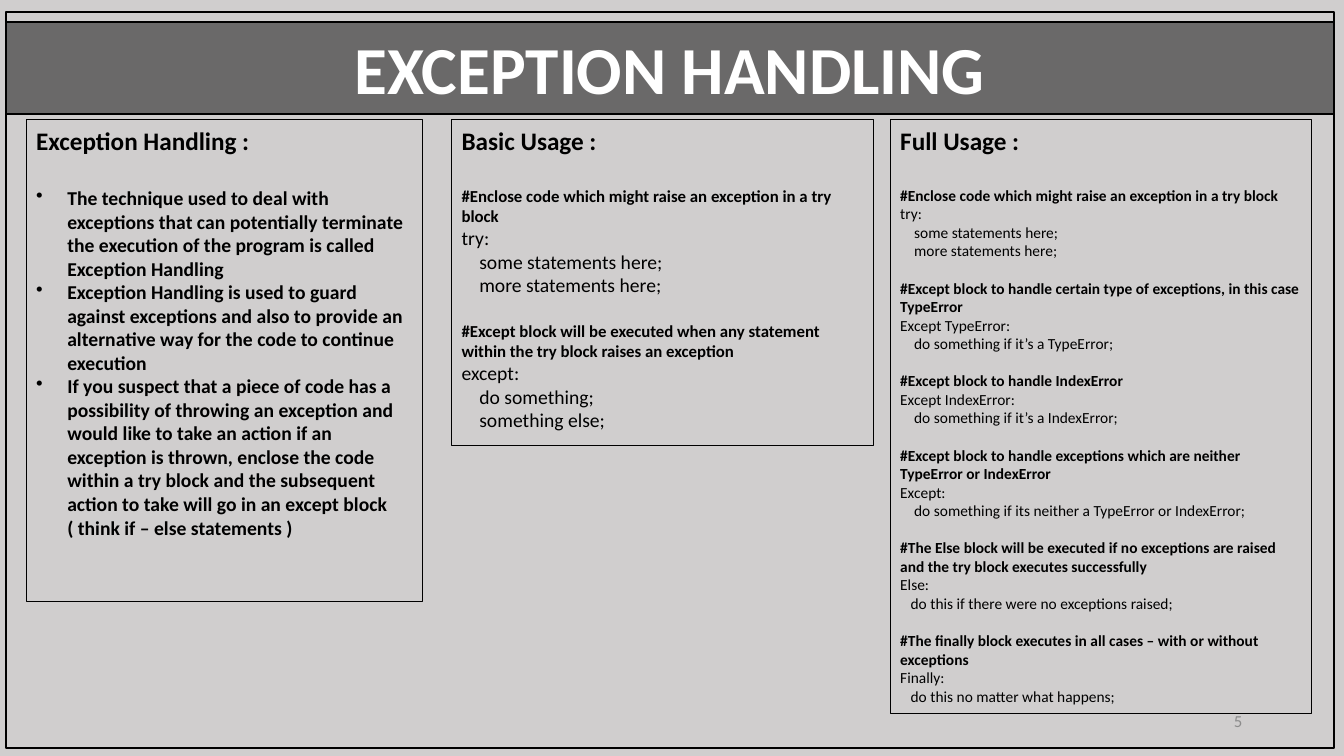
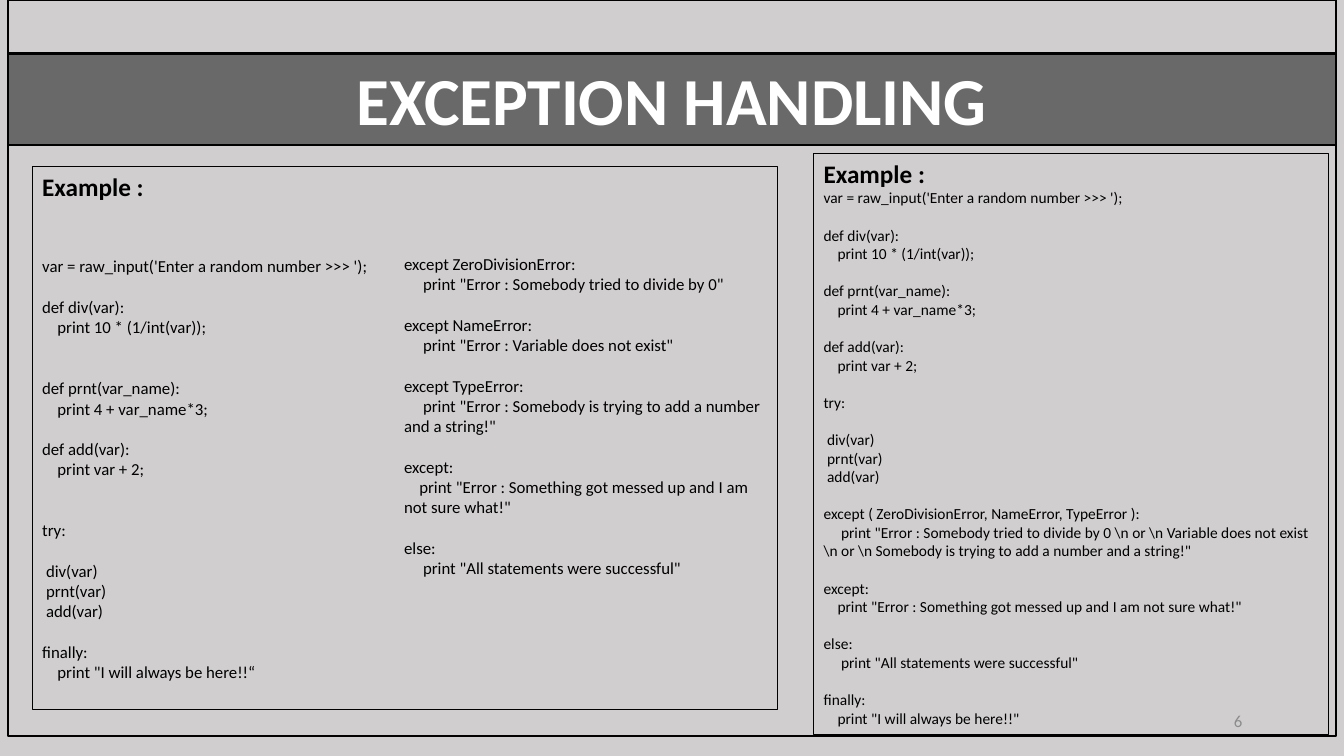
import dataclasses
import typing

import pptx
import pptx.dml.color
import pptx.enum.shapes
import pptx.enum.text
import pptx.presentation
import pptx.shapes.autoshape
import pptx.slide
import pptx.text.text
import pptx.util
import lxml.etree

Inches = pptx.util.Inches
Points = pptx.util.Pt
Align = pptx.enum.text.PP_ALIGN
Anchor = pptx.enum.text.MSO_ANCHOR

COLORS = {"page": "D0CECE", "ink": "000000", "title": "FFFFFF", "number": "8C8C8C"}
FONT = "Calibri"
LINE_HEIGHT = 1.22  # of the font size
SPACE_WIDTH = 0.226  # of the font size
FRAME_WIDTH, FRAME_HEIGHT, BAND_HEIGHT = 13.17, 7.3, 0.91
BULLET = "•"
BULLET_INDENT = 0.31


@dataclasses.dataclass(frozen=True)
class Panel:
    left: float
    top: float
    width: float
    height: float
    body: str
    size: float
    heading: str = ""
    heading_gap: float = 0
    comment_size: typing.Optional[float] = None
    outlined: bool = True


@dataclasses.dataclass(frozen=True)
class Page:
    number: int
    frame_left: float
    frame_top: float
    band_top: float
    panels: tuple[Panel, ...]


# Texts: a blank line is a gap, leading spaces are an indent, "#" lines are bold
DEFINITION = """
• The technique used to deal with exceptions that can potentially terminate the execution of the program is called Exception Handling
• Exception Handling is used to guard against exceptions and also to provide an alternative way for the code to continue execution
• If you suspect that a piece of code has a possibility of throwing an exception and would like to take an action if an exception is thrown, enclose the code within a try block and the subsequent action to take will go in an except block ( think if – else statements )
"""

TRY_BLOCK = """
#Enclose code which might raise an exception in a try block
try:
    some statements here;
    more statements here;
"""

BASIC_USAGE = TRY_BLOCK + """
#Except block will be executed when any statement within the try block raises an exception
except:
    do something;
    something else;
"""

FULL_USAGE = TRY_BLOCK + """
#Except block to handle certain type of exceptions, in this case TypeError
Except TypeError:
    do something if it’s a TypeError;

#Except block to handle IndexError
Except IndexError:
    do something if it’s a IndexError;

#Except block to handle exceptions which are neither TypeError or IndexError
Except:
    do something if its neither a TypeError or IndexError;

#The Else block will be executed if no exceptions are raised and the try block executes successfully
Else:
   do this if there were no exceptions raised;

#The finally block executes in all cases – with or without exceptions
Finally:
   do this no matter what happens;
"""

PROMPT = "var = raw_input('Enter a random number >>> ');\n"
DIVIDE = "def div(var):\n    print 10 * (1/int(var));\n"
PRINT = "def prnt(var_name):\n    print 4 + var_name*3;\n"
ADD = "def add(var):\n    print var + 2;\n"
CALLS = "try:\n\n div(var)\n prnt(var)\n add(var)\n"
FINALLY = 'finally:\n    print "I will always be here!!'
ANY_ERROR = 'except:\n    print "Error : Something got messed up and I am not sure what!"\n'
ELSE = 'else:\n     print "All statements were successful"\n'

GROUPED_ERRORS = r"""except ( ZeroDivisionError, NameError, TypeError ):
     print "Error : Somebody tried to divide by 0 \n or \n Variable does not exist \n or \n Somebody is trying to add a number and a string!"
"""

SEPARATE_ERRORS = """except ZeroDivisionError:
     print "Error : Somebody tried to divide by 0"

except NameError:
     print "Error : Variable does not exist"

except TypeError:
     print "Error : Somebody is trying to add a number and a string!"
"""

LEFT_CODE = "\n".join([PROMPT, DIVIDE + "\n", PRINT, ADD + "\n", CALLS, FINALLY + "“"])
RIGHT_CODE = "\n".join([SEPARATE_ERRORS, ANY_ERROR, ELSE])
SHORT_CODE = "\n".join([PROMPT, DIVIDE, PRINT, ADD, CALLS, GROUPED_ERRORS,
                        ANY_ERROR, ELSE, FINALLY + '"'])

PAGES = (
    Page(5, 0.06, 0.12, 0.22, (
        Panel(0.26, 1.19, 3.93, 4.78, DEFINITION, 14, "Exception Handling :", 22),
        Panel(4.48, 1.19, 4.18, 3.23, BASIC_USAGE, 14, "Basic Usage :", 22, 12),
        Panel(8.83, 1.19, 4.18, 5.89, FULL_USAGE, 11, "Full Usage :", 22),
    )),
    Page(6, 0.08, 0, 0.53, (
        Panel(8.07, 1.52, 5.11, 5.77, SHORT_CODE, 11, "Example :"),
        Panel(0.32, 1.65, 7.39, 5.39, LEFT_CODE, 12, "Example :", 39),
        Panel(3.91, 2.47, 3.8, 3.4, RIGHT_CODE, 12, outlined=False),
    )),
)


def rgb(name: str) -> pptx.dml.color.RGBColor:
    return pptx.dml.color.RGBColor.from_string(COLORS[name])


def add_text(frame: pptx.text.text.TextFrame, text: str, *, size: float,
             bold: bool = False, color: str = "ink", align: Align = Align.LEFT,
             gap: float = 0, margin: float = 0, indent: float = 0,
             bullet: str = "") -> None:
    """Append a paragraph; gap is in points, margin and indent in inches."""
    paragraph = frame.paragraphs[0]
    if paragraph.runs:
        paragraph = frame.add_paragraph()
    paragraph.alignment = align
    paragraph.space_before = Points(gap)
    run = paragraph.add_run()
    run.text = text
    run.font.name, run.font.size, run.font.bold = FONT, Points(size), bold
    run.font.color.rgb = rgb(color)
    properties = paragraph._p.get_or_add_pPr()
    properties.set("marL", str(Inches(margin)))
    properties.set("indent", str(Inches(indent)))
    if bullet:
        mark = lxml.etree.SubElement(properties, pptx.oxml.ns.qn("a:buChar"))
        mark.set("char", bullet)


def add_box(slide: pptx.slide.Slide, left: float, top: float, width: float,
            height: float, line_width: float) -> pptx.shapes.autoshape.Shape:
    """Add an unfilled, black-edged rectangle."""
    shape = slide.shapes.add_shape(pptx.enum.shapes.MSO_SHAPE.RECTANGLE, Inches(left),
                                   Inches(top), Inches(width), Inches(height))
    shape.shadow.inherit = False
    shape.fill.background()
    shape.line.color.rgb = rgb("ink")
    shape.line.width = Points(line_width)
    shape.text_frame.vertical_anchor = Anchor.TOP
    return shape


def add_text_box(slide: pptx.slide.Slide, left: float, top: float, width: float,
                 height: float) -> pptx.shapes.autoshape.Shape:
    shape = slide.shapes.add_textbox(Inches(left), Inches(top), Inches(width), Inches(height))
    shape.text_frame.word_wrap = True
    return shape


def add_body(frame: pptx.text.text.TextFrame, panel: Panel) -> None:
    """Turn the lines of a panel's body into formatted paragraphs."""
    gap = panel.heading_gap
    for line in panel.body.strip("\n").split("\n"):
        text = line.strip()
        if not text:
            gap += panel.size * LINE_HEIGHT
            continue
        if text.startswith(BULLET):
            add_text(frame, text[1:].strip(), size=panel.size, bold=True, gap=gap,
                     margin=BULLET_INDENT, indent=-BULLET_INDENT, bullet=BULLET)
        else:
            comment = text.startswith("#")
            size = panel.comment_size if comment and panel.comment_size else panel.size
            spaces = len(line) - len(line.lstrip())
            add_text(frame, text, size=size, bold=comment, gap=gap,
                     indent=spaces * SPACE_WIDTH * size / 72)
        gap = 0


def add_panel(slide: pptx.slide.Slide, panel: Panel) -> None:
    place = (panel.left, panel.top, panel.width, panel.height)
    shape = add_box(slide, *place, 0.75) if panel.outlined else add_text_box(slide, *place)
    if panel.heading:
        add_text(shape.text_frame, panel.heading, size=18, bold=True)
    add_body(shape.text_frame, panel)


def add_page(presentation: pptx.presentation.Presentation, page: Page) -> None:
    slide = presentation.slides.add_slide(presentation.slide_layouts[6])
    # Frame and title band
    add_box(slide, page.frame_left, page.frame_top, FRAME_WIDTH, FRAME_HEIGHT, 1.75)
    band = add_box(slide, page.frame_left, page.band_top, FRAME_WIDTH, BAND_HEIGHT, 1.75)
    band.fill.solid()
    band.fill.fore_color.rgb = rgb("ink")
    color = band._element.spPr.find(".//" + pptx.oxml.ns.qn("a:srgbClr"))
    lxml.etree.SubElement(color, pptx.oxml.ns.qn("a:alpha")).set("val", "49000")
    add_text(band.text_frame, "EXCEPTION HANDLING", size=48, bold=True, color="title",
             align=Align.CENTER)
    # Page number
    number = add_text_box(slide, 9.42, 6.95, 3, 0.4)
    number.text_frame.vertical_anchor = Anchor.MIDDLE
    add_text(number.text_frame, str(page.number), size=12, color="number", align=Align.RIGHT)
    # Panels
    for panel in page.panels:
        add_panel(slide, panel)


def main() -> None:
    presentation = pptx.Presentation()
    presentation.slide_width, presentation.slide_height = Inches(13.33), Inches(7.5)
    background = presentation.slide_master.background.fill
    background.solid()
    background.fore_color.rgb = rgb("page")
    for page in PAGES:
        add_page(presentation, page)
    presentation.save("out.pptx")


main()
